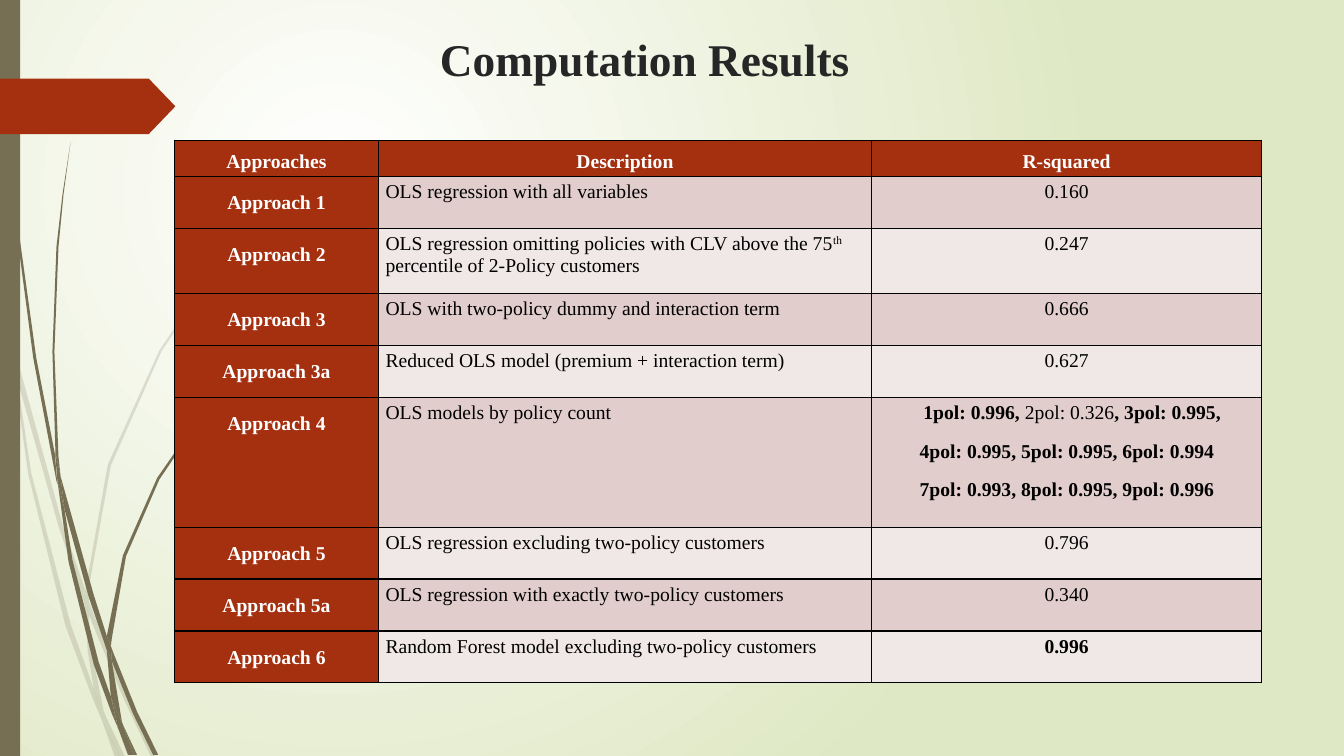
from dataclasses import dataclass

from lxml import etree
from pptx import Presentation, util as u
from pptx.dml.color import RGBColor
from pptx.enum import shapes, text
from pptx.oxml.ns import qn


@dataclass(frozen=True)
class Theme:
    font: str = "Times New Roman"
    title_size: float = 32.4
    body_size: float = 14
    title: str = "262626"
    ink: str = "000000"
    white: str = "FFFFFF"
    pale_green: str = "DFE8C4"
    olive: str = "766F54"
    rust: str = "A53010"
    bands: tuple = ("E1CDCC", "F0E8E7")


THEME = Theme()
COLUMNS, ROWS = 133.33, 75  # grid of square cells over the whole slide
CELL = u.Inches(0.1)

# Outlines of the pieces of grass, as column and row of each corner
PALE_GRASS = [
    [(1.1, 35), (.9, 32.2), (0, 28.2), (0, 29.9), (1, 34.4)],
    [(5.8, 52.2), (8.4, 59.9), (8.5, 58.6), (6.2, 52), (1.4, 34.5), (1.7, 37.6)],
    [(9.2, 60.7), (8.8, 59.6), (8.8, 61), (12.3, 69.4), (15, 75.1), (15.5, 75.1), (12.7, 69.2)],
    [(11.9, 75.1), (12.4, 75.1), (10.5, 71.1)],
    [(9.3, 68.3), (7, 61.9), (3.1, 46.9), (1.7, 37.6), (1.1, 35), (2.8, 47), (6.5, 62.1),
     (9.2, 69.3), (10.1, 71.4), (9.9, 70.7)],
    [(8.4, 59.9), (8.7, 64.6), (9.3, 68.3), (9.6, 69.2), (10.5, 71.1), (10.3, 70.6),
     (9.1, 64.6), (8.8, 61), (8.8, 60.8)],
    [(8.8, 58.4), (11, 46.2), (16, 34.9), (22.9, 24.5), (26.8, 19.8), (29, 17.5),
     (31.2, 15.4), (31.2, 15.3), (28.9, 17.5), (26.8, 19.7), (22.8, 24.4), (15.8, 34.8),
     (10.7, 46.1), (8.5, 58.4), (8.5, 58.6), (8.8, 59.6)],
    [(10.1, 71.4), (11.4, 75.1), (11.9, 75.1)],
    [(8.8, 60.8), (8.8, 61), (8.8, 59.6), (8.5, 58.6), (8.4, 59.9)],
    [(9.6, 69.2), (9.3, 68.3), (9.9, 70.7), (10.1, 71.4), (11.9, 75.1), (10.5, 71.1)],
]
DARK_GRASS = [
    [(.7, 11), (1.7, 23.3), (3.3, 35.5), (5.6, 47.7), (5.7, 48.1), (5.5, 45.7), (5.5, 45.3),
     (3.6, 35.5), (1.9, 23.2), (.8, 10.9), (.5, 4.8), (.4, 0), (.3, 0), (.4, 4.8)],
    [(8.8, 59.2), (10.6, 64.5), (10.6, 63.1), (9.3, 59), (6, 47.2), (6.4, 50.5)],
    [(11.3, 64.9), (11, 64.1), (11.1, 65.6), (13.2, 70.8), (15.2, 74.9), (15.7, 74.9),
     (13.6, 70.6)],
    [(11, 69.1), (9.8, 65.7), (7.2, 55.6), (6.4, 50.5), (5.7, 47.7), (6.8, 55.7),
     (9.3, 65.9), (11.1, 70.8), (11.7, 72.2), (11.6, 71.7)],
    [(6, 47.2), (5.8, 45.3), (5.4, 34.9), (5.8, 24.5), (6.3, 19.3), (7, 14.1), (6.2, 19.3),
     (5.6, 24.5), (5.2, 34.9), (5.5, 44.9)],
    [(13.3, 74.9), (13.6, 74.9), (12.2, 71.9)],
    [(5.7, 47.7), (6.4, 50.5), (6, 47.2), (5.5, 44.9), (5.5, 45.3)],
    [(11.1, 63.3), (12.5, 55.2), (15.8, 47.6), (20.5, 40.6), (23.1, 37.4), (24.5, 35.9),
     (26.1, 34.4), (26, 34.4), (24.5, 35.8), (23.1, 37.3), (20.4, 40.5), (15.6, 47.4),
     (12.2, 55.1), (10.6, 63.1), (11, 64.1)],
    [(11.7, 72.2), (12.7, 74.9), (13.1, 74.9)],
    [(10.6, 64.5), (11, 69.1), (11.6, 70.6), (12.2, 71.9), (12.1, 71.6), (11.1, 65.6),
     (10.9, 65.1)],
    [(10.6, 64.5), (10.9, 65.1), (11.1, 65.6), (11, 64.1), (10.6, 63.1)],
    [(11.6, 70.6), (11, 69.1), (11.6, 71.7), (11.7, 72.2), (13, 74.9), (13.3, 74.9),
     (12.2, 71.9)],
]

HEADINGS = ["Approaches", "Description", "R-squared"]
RESULTS = [
    ("1", ["OLS regression with all variables"], "0.160"),
    ("2", ["OLS regression omitting policies with CLV above the 75", "th",
           " percentile of 2-Policy customers"], "0.247"),
    ("3", ["OLS with two-policy dummy and interaction term"], "0.666"),
    ("3a", ["Reduced OLS model (premium + interaction term)"], "0.627"),
    ("4", ["OLS models by policy count"], None),
    ("5", ["OLS regression excluding two-policy customers"], "0.796"),
    ("5a", ["OLS regression with exactly two-policy customers"], "0.340"),
    ("6", ["Random Forest model excluding two-policy customers"], "0.996"),
]
POLICY_SCORES = [
    [("1pol: 0.996, ", True), ("2pol: 0.326", False), (", 3pol: 0.995,", True)],
    [("4pol: 0.995, 5pol: 0.995, 6pol: 0.994", True)],
    [("7pol: 0.993, 8pol: 0.995, 9pol: 0.996", True)],
]
TABLE_COLUMNS = [20.23, 48.92, 38.7]
TABLE_ROWS = [3.6, 5.15, 6.45, 5.15, 5.15, 12.9, 5.15, 5.15, 5.15]


def grid(*cells):
    return [round(c * CELL) for c in cells]


def rgb(color):
    return RGBColor.from_string(color)


def add_run(p, words, color, size=THEME.body_size, bold=False):
    r = p.add_run()
    r.text = words
    r.font.name = THEME.font
    r.font.size = u.Pt(size)
    r.font.bold = bold
    r.font.color.rgb = rgb(color)
    return r


def paint_background(s):
    fill = s.background.fill
    fill.gradient()
    for stop, color, position in zip(fill.gradient_stops, (THEME.white, THEME.pale_green), (0, 1)):
        stop.color.rgb = rgb(color)
        stop.position = position
    grad = s.element.find(".//" + qn("a:gradFill"))
    circle = etree.Element(qn("a:path"), path="circle")
    etree.SubElement(circle, qn("a:fillToRect"), l="50000", t="50000", r="100000", b="100000")
    grad.replace(grad.find(qn("a:lin")), circle)


def paint(sp, color, alpha=None):
    sp.shadow.inherit = False
    sp.fill.solid()
    sp.fill.fore_color.rgb = rgb(color)
    sp.line.fill.background()
    if alpha:
        clr = sp.element.find(".//" + qn("a:srgbClr"))
        etree.SubElement(clr, qn("a:alpha"), val=str(alpha * 1000))


def add_grass(s, pieces, alpha=None):
    for piece in pieces:
        start, *corners = [grid(*corner) for corner in piece]
        outline = s.shapes.build_freeform(*start)
        outline.add_line_segments(corners, close=True)
        paint(outline.convert_to_shape(), THEME.olive, alpha)


def add_block(s, preset, color, *box):
    sp = s.shapes.add_shape(preset, *grid(*box))
    paint(sp, color)
    return sp


def add_title(s, words, *box):
    tf = s.shapes.add_textbox(*grid(*box)).text_frame
    tf.word_wrap = True
    p = tf.paragraphs[0]
    p.alignment = text.PP_ALIGN.CENTER
    add_run(p, words, THEME.title, THEME.title_size, True)


def style_cell(cell, color, padding=0.5):
    """Fill and pad the cell, and rule its four sides."""
    cell.margin_left, cell.margin_right = grid(0.7, 0.7)
    cell.margin_top, cell.margin_bottom = grid(padding, padding)
    tc_pr = cell._tc.get_or_add_tcPr()
    for side in ("a:lnL", "a:lnR", "a:lnT", "a:lnB"):
        ln = etree.SubElement(tc_pr, qn(side), w=str(u.Pt(1)))
        solid = etree.SubElement(ln, qn("a:solidFill"))
        etree.SubElement(solid, qn("a:srgbClr"), val=THEME.ink)
    cell.fill.solid()
    cell.fill.fore_color.rgb = rgb(color)


def write_label(cell, words, padding=0.5):
    style_cell(cell, THEME.rust, padding)
    p = cell.text_frame.paragraphs[0]
    p.alignment = text.PP_ALIGN.CENTER
    p.line_spacing = 1.5
    add_run(p, words, THEME.white, bold=True)


def write_value(cell, runs, color, centered=True):
    style_cell(cell, color)
    p = cell.text_frame.paragraphs[0]
    p.space_before = p.space_after = u.Pt(12)
    if centered:
        p.alignment = text.PP_ALIGN.CENTER
    for words, bold in runs:
        r = add_run(p, words, THEME.ink, bold=bold)
        if words == "th":
            r.font._element.set("baseline", "30000")


def write_policy_scores(cell, color):
    style_cell(cell, color)
    tf = cell.text_frame
    for i, line in enumerate(POLICY_SCORES):
        p = tf.add_paragraph() if i else tf.paragraphs[0]
        p.alignment = text.PP_ALIGN.CENTER
        p.space_before = u.Pt(12)
        p_pr = p._p.get_or_add_pPr()
        p_pr.set("marL", str(CELL // 10))
        p_pr.set("indent", "0" if i else str(CELL))
        for words, bold in line:
            add_run(p, words, THEME.ink, bold=bold)


def add_results_table(s, left, top):
    box = grid(left, top, sum(TABLE_COLUMNS), sum(TABLE_ROWS))
    table = s.shapes.add_table(len(TABLE_ROWS), len(TABLE_COLUMNS), *box).table
    table.first_row = table.horz_banding = False
    for column, width in zip(table.columns, grid(*TABLE_COLUMNS)):
        column.width = width
    for row, height in zip(table.rows, grid(*TABLE_ROWS)):
        row.height = height
    for j, heading in enumerate(HEADINGS):
        write_label(table.cell(0, j), heading, padding=0)
    best = max(score for *_, score in RESULTS if score)
    for i, (name, description, score) in enumerate(RESULTS):
        band = THEME.bands[i % 2]
        label, about, value = table.rows[i + 1].cells
        write_label(label, f"Approach {name}")
        write_value(about, [(words, False) for words in description], band, centered=False)
        if score:
            write_value(value, [(score, score == best)], band)
        else:
            write_policy_scores(value, band)


def main():
    prs = Presentation()
    prs.slide_width, prs.slide_height = grid(COLUMNS, ROWS)
    s = prs.slides.add_slide(prs.slide_layouts[6])
    paint_background(s)
    add_grass(s, PALE_GRASS, alpha=20)
    add_grass(s, DARK_GRASS)
    add_block(s, shapes.MSO_SHAPE.RECTANGLE, THEME.olive, 0, 0, 2, ROWS)
    arrow = add_block(s, shapes.MSO_SHAPE.PENTAGON, THEME.rust, 0, 7.8, 17.4, 5.5)
    arrow.adjustments[0] = 0.48
    add_title(s, "Computation Results", 15.2, 2.6, 97.5, 11.4)
    add_results_table(s, 17.32, 13.9)
    prs.save("out.pptx")


if __name__ == "__main__":
    main()
